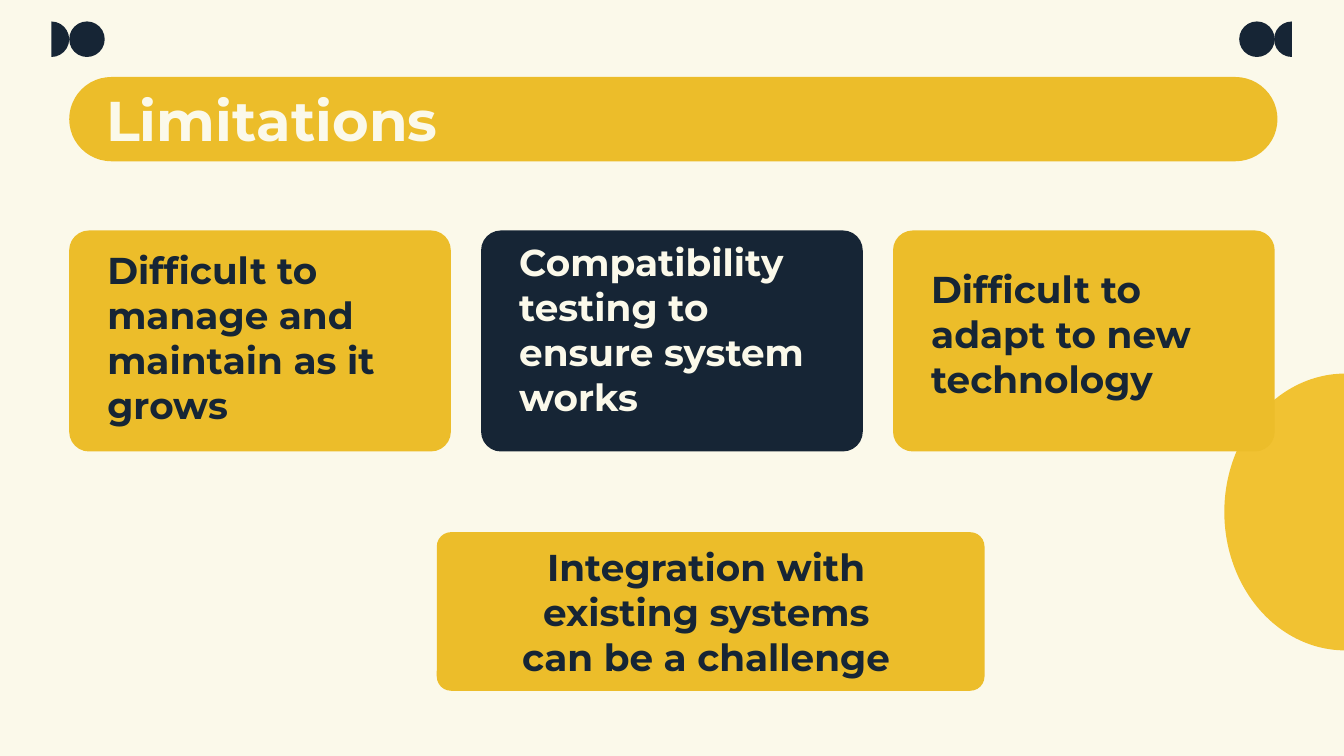
from dataclasses import dataclass

from pptx import Presentation
from pptx.dml.color import RGBColor
from pptx.enum.shapes import MSO_SHAPE
from pptx.enum.text import MSO_ANCHOR, PP_ALIGN
from pptx.util import Inches, Pt

ROUNDED, OVAL, PIE = MSO_SHAPE.ROUNDED_RECTANGLE, MSO_SHAPE.OVAL, MSO_SHAPE.PIE
MIDDLE = MSO_ANCHOR.MIDDLE
LEFT, CENTER = PP_ALIGN.LEFT, PP_ALIGN.CENTER

COLUMNS, ROWS = 100, 56.25  # a 16:9 slide; one grid cell is a tenth of an inch
CELL = Inches(0.1)


@dataclass(frozen=True)
class Theme:
    cream: str = "FBF9EA"
    navy: str = "162535"
    gold: str = "ECBD2A"
    sun: str = "F1C232"
    font: str = "Montserrat"
    title_size: int = 30
    card_size: int = 20


class SlideBuilder:
    """Draws on one slide; every box is (column, row, columns wide, rows high)."""

    def __init__(self, slide, theme):
        self.slide = slide
        self.theme = theme
        background = slide.background.fill
        background.solid()
        background.fore_color.rgb = RGBColor.from_string(theme.cream)

    def figure(self, preset, box, color):
        figure = self.slide.shapes.add_shape(preset, *(round(n * CELL) for n in box))
        figure.shadow.inherit = False
        figure.fill.solid()
        figure.fill.fore_color.rgb = RGBColor.from_string(color)
        figure.line.fill.background()
        return figure

    def panel(self, box, color, rounding=0.09):
        self.figure(ROUNDED, box, color).adjustments[0] = rounding

    def half_disc(self, box, color, rotation=0):
        """Left half of the ellipse in the box, before rotation."""
        half = self.figure(PIE, box, color)
        half.adjustments[0], half.adjustments[1] = 54, 162  # 90 and 270 degrees
        half.rotation = rotation

    def corner_mark(self, disc_column, half_column, rotation):
        row, size = 1.6, 2.64
        self.half_disc((half_column, row, size, size), self.theme.navy, rotation)
        self.figure(OVAL, (disc_column, row, size, size), self.theme.navy)

    def text(self, wording, box, size, color, align=LEFT, inset=1):
        frame = self.slide.shapes.add_textbox(*(round(n * CELL) for n in box)).text_frame
        frame.word_wrap = True
        frame.vertical_anchor = MIDDLE
        frame.margin_left = frame.margin_right = round(inset * CELL)
        frame.margin_top = frame.margin_bottom = round(inset * CELL)
        frame.text = wording
        paragraph = frame.paragraphs[0]
        paragraph.alignment = align
        font = paragraph.runs[0].font
        font.name, font.size, font.bold = self.theme.font, Pt(size), True
        font.color.rgb = RGBColor.from_string(color)


def main():
    theme = Theme()
    deck = Presentation()
    deck.slide_width, deck.slide_height = round(COLUMNS * CELL), round(ROWS * CELL)
    builder = SlideBuilder(deck.slides.add_slide(deck.slide_layouts[6]), theme)

    builder.corner_mark(disc_column=5.15, half_column=2.5, rotation=180)
    builder.corner_mark(disc_column=92.2, half_column=94.8, rotation=0)

    margin = 5.15
    builder.panel((margin, 5.73, 89.9, 6.27), theme.gold, rounding=0.5)
    builder.text("Limitations", (7.9, 5.73, 84.3, 6.27), theme.title_size, theme.cream, inset=0)

    builder.half_disc((91.1, 27.8, 18, 20.6), theme.sun)

    # Wording, panel colour, text colour, text row, text width
    limitations = [
        ("Difficult to manage and maintain as it grows", theme.gold, theme.navy, 23.1, 25.5),
        ("Compatibility testing to ensure system works", theme.navy, theme.cream, 22.5, 25.3),
        ("Difficult to adapt to new technology", theme.gold, theme.navy, 22.8, 24.7),
    ]
    card_width, card_pitch, text_indent, text_height = 28.4, 30.65, 1.85, 4
    for index, (wording, fill, ink, row, width) in enumerate(limitations):
        column = margin + index * card_pitch
        builder.panel((column, 17.15, card_width, 16.45), fill)
        builder.text(wording, (column + text_indent, row, width, text_height),
                     theme.card_size, ink)

    builder.panel((32.5, 39.6, 40.75, 11.8), theme.gold)
    builder.text("Integration with existing systems can be a challenge",
                 (37.6, 43.5, 29.9, text_height), theme.card_size, theme.navy, CENTER)

    deck.save("out.pptx")


if __name__ == "__main__":
    main()
